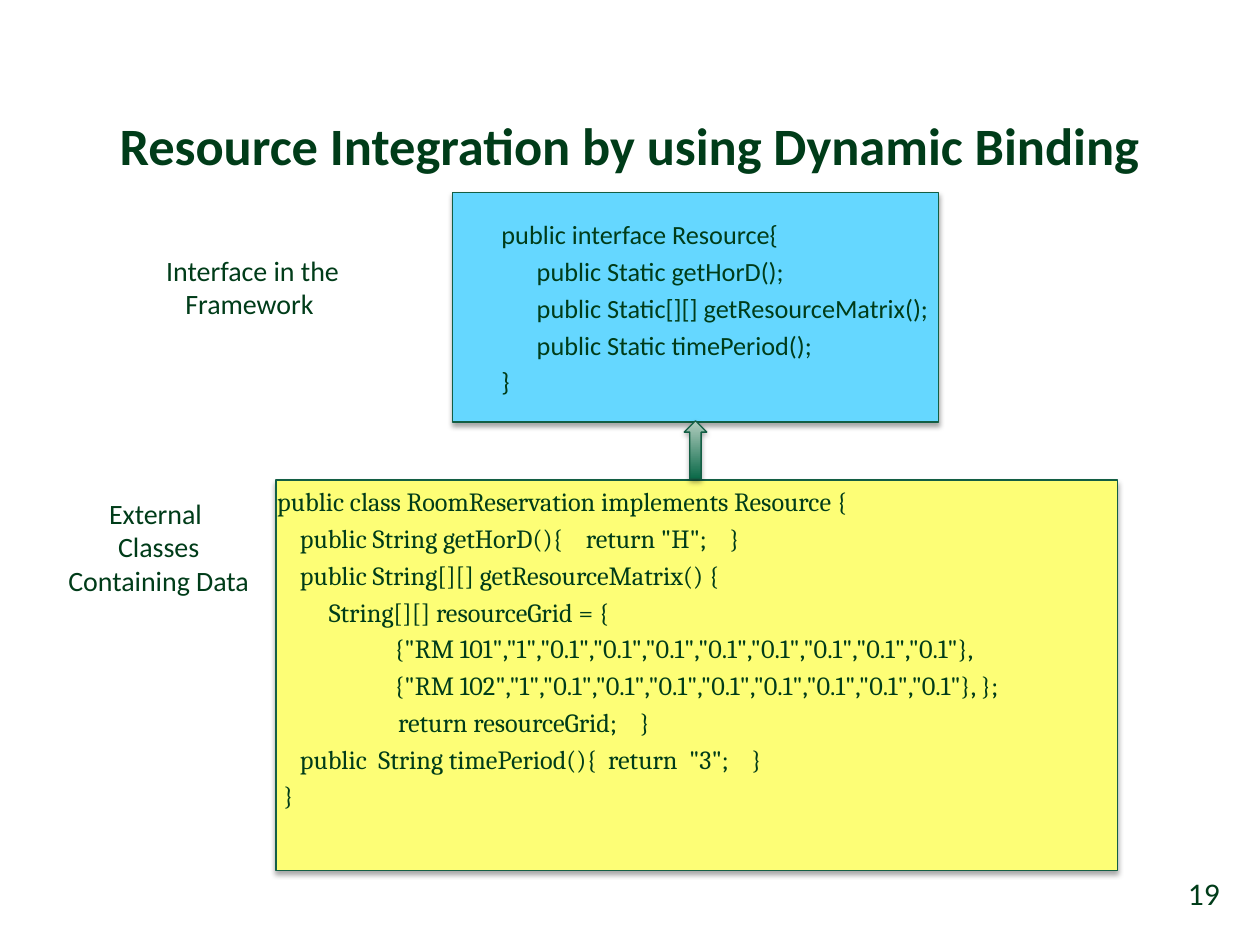
from dataclasses import dataclass

import pptx
import pptx.dml.color
import pptx.enum.dml
import pptx.enum.shapes
import pptx.enum.text
import pptx.oxml
import pptx.oxml.ns
import pptx.util
from pptx.util import Inches

SHAPES = pptx.enum.shapes.MSO_SHAPE
ALIGN = pptx.enum.text.PP_ALIGN
ANCHOR = pptx.enum.text.MSO_ANCHOR


@dataclass(frozen=True)
class Theme:
    ink: str = "003C19"
    outline: str = "135E44"
    interface: str = "65D7FF"
    external: str = "FDFE76"
    arrow_start: str = "0A6948"
    arrow_end: str = "B3CEC0"
    sans: str = "Calibri"
    serif: str = "Cambria"
    title_size: float = 30
    code_size: float = 15
    label_size: float = 16
    number_size: float = 18
    line_height: float = 18.3
    line_gap: float = 2.7
    block_gap: float = 50.3


@dataclass(frozen=True)
class Box:
    left: float
    top: float
    width: float
    height: float

    def lengths(self) -> tuple:
        return tuple(Inches(v) for v in (self.left, self.top, self.width, self.height))


@dataclass(frozen=True)
class Label:
    box: Box
    text: str
    size: float
    align: ALIGN = ALIGN.CENTER


@dataclass(frozen=True)
class CodeLine:
    indent: float
    text: str


THEME = Theme()
INTERFACE_BOX = Box(3.59, 1.53, 3.86, 1.82)
EXTERNAL_BOX = Box(2.19, 3.81, 6.68, 3.1)
ARROW_BOX = Box(5.43, 3.34, 0.18, 0.46)

LABELS = [
    Label(Box(0.78, 1.96, 2.45, 0.66), "Interface in the Framework ", THEME.label_size),
    Label(Box(0.43, 3.89, 1.66, 0.94), "External \nClasses\nContaining Data", THEME.label_size),
    Label(Box(9.33, 6.89, 0.5, 0.4), "19", THEME.number_size, ALIGN.LEFT),
]

INTERFACE_CODE = [
    CodeLine(3.38, "public interface Resource{"),
    CodeLine(3.66, "public Static getHorD();"),
    CodeLine(3.66, "public Static[][] getResourceMatrix();"),
    CodeLine(3.66, "public Static timePeriod();"),
    CodeLine(3.38, "}"),
]

GRID_VALUES = ",".join(['"0.1"'] * 8)
EXTERNAL_CODE = [
    CodeLine(1.6, "public class RoomReservation implements Resource {"),
    CodeLine(1.78, 'public String getHorD(){    return "H";    }'),
    CodeLine(1.78, "public String[][] getResourceMatrix() {"),
    CodeLine(2.01, "String[][] resourceGrid = {"),
    CodeLine(2.53, f'{{"RM 101","1",{GRID_VALUES}}},'),
    CodeLine(2.53, f'{{"RM 102","1",{GRID_VALUES}}}, }};'),
    CodeLine(2.56, "return resourceGrid;    }"),
    CodeLine(1.78, 'public  String timePeriod(){  return  "3";    }'),
    CodeLine(1.65, "}"),
]


def rgb(color: str) -> pptx.dml.color.RGBColor:
    return pptx.dml.color.RGBColor.from_string(color)


def place(shape, box: Box) -> None:
    shape.left, shape.top, shape.width, shape.height = box.lengths()


def format_runs(paragraph, size: float, font: str = THEME.sans, bold: bool = False) -> None:
    for run in paragraph.runs:
        run.font.name = font
        run.font.size = pptx.util.Pt(size)
        run.font.bold = bold
        run.font.color.rgb = rgb(THEME.ink)


def add_shadow(shape) -> None:
    shape.shadow.inherit = False
    effects = shape.element.spPr.find(pptx.oxml.ns.qn("a:effectLst"))
    effects.append(pptx.oxml.parse_xml(
        f'<a:outerShdw {pptx.oxml.ns.nsdecls("a")} blurRad="39370" dist="22860" '
        'dir="5400000" rotWithShape="0"><a:srgbClr val="000000">'
        '<a:alpha val="35000"/></a:srgbClr></a:outerShdw>'))


def add_outlined(slide, kind: SHAPES, box: Box):
    shape = slide.shapes.add_shape(kind, *box.lengths())
    shape.line.color.rgb = rgb(THEME.outline)
    shape.line.width = pptx.util.Pt(0.75)
    add_shadow(shape)
    return shape


def add_panel(slide, box: Box, color: str) -> None:
    panel = add_outlined(slide, SHAPES.RECTANGLE, box)
    panel.fill.solid()
    panel.fill.fore_color.rgb = rgb(color)


def add_arrow(slide, box: Box) -> None:
    arrow = add_outlined(slide, SHAPES.UP_ARROW, box)
    arrow.fill.gradient()
    arrow.fill.gradient_angle = 90
    for stop, color in zip(arrow.fill.gradient_stops, (THEME.arrow_start, THEME.arrow_end)):
        stop.color.rgb = rgb(color)


def add_label(slide, label: Label) -> None:
    text_frame = slide.shapes.add_textbox(*label.box.lengths()).text_frame
    text_frame.word_wrap = True
    text_frame.text = label.text
    for paragraph in text_frame.paragraphs:
        paragraph.alignment = label.align
        format_runs(paragraph, label.size)


def format_code(paragraph, line: CodeLine, font: str, gap: float) -> None:
    paragraph.line_spacing = pptx.util.Pt(THEME.line_height)
    paragraph.space_before = pptx.util.Pt(gap)
    paragraph.space_after = pptx.util.Pt(0)
    properties = paragraph._p.get_or_add_pPr()
    properties.set("marL", str(Inches(line.indent)))
    properties.set("indent", "0")
    properties.append(pptx.oxml.parse_xml(f'<a:buNone {pptx.oxml.ns.nsdecls("a")}/>'))
    format_runs(paragraph, THEME.code_size, font)


def fill_title(title) -> None:
    place(title, Box(0.5, 0.79, 9, 0.71))
    title.text_frame.text = "Resource Integration by using Dynamic Binding"
    title.text_frame.vertical_anchor = ANCHOR.MIDDLE
    title.text_frame.auto_size = pptx.enum.text.MSO_AUTO_SIZE.NONE
    title.text_frame.paragraphs[0].alignment = ALIGN.CENTER
    format_runs(title.text_frame.paragraphs[0], THEME.title_size, bold=True)


def fill_body(body) -> None:
    place(body, Box(0.5, 1.68, 9, 4.98))
    text_frame = body.text_frame
    text_frame.auto_size = pptx.enum.text.MSO_AUTO_SIZE.NONE
    lines = INTERFACE_CODE + EXTERNAL_CODE
    text_frame.text = "\n".join(line.text for line in lines)
    for index, (paragraph, line) in enumerate(zip(text_frame.paragraphs, lines)):
        font = THEME.sans if index < len(INTERFACE_CODE) else THEME.serif
        gap = THEME.block_gap if index == len(INTERFACE_CODE) else THEME.line_gap
        format_code(paragraph, line, font, gap)


def main() -> None:
    presentation = pptx.Presentation()
    presentation.slide_width, presentation.slide_height = Inches(10), Inches(7.5)
    slide = presentation.slides.add_slide(presentation.slide_layouts[1])
    body = slide.placeholders[1]
    fill_title(slide.shapes.title)
    add_panel(slide, INTERFACE_BOX, THEME.interface)
    add_panel(slide, EXTERNAL_BOX, THEME.external)
    body.element.getparent().append(body.element)
    fill_body(body)
    add_arrow(slide, ARROW_BOX)
    for label in LABELS:
        add_label(slide, label)
    presentation.save("out.pptx")


if __name__ == "__main__":
    main()
